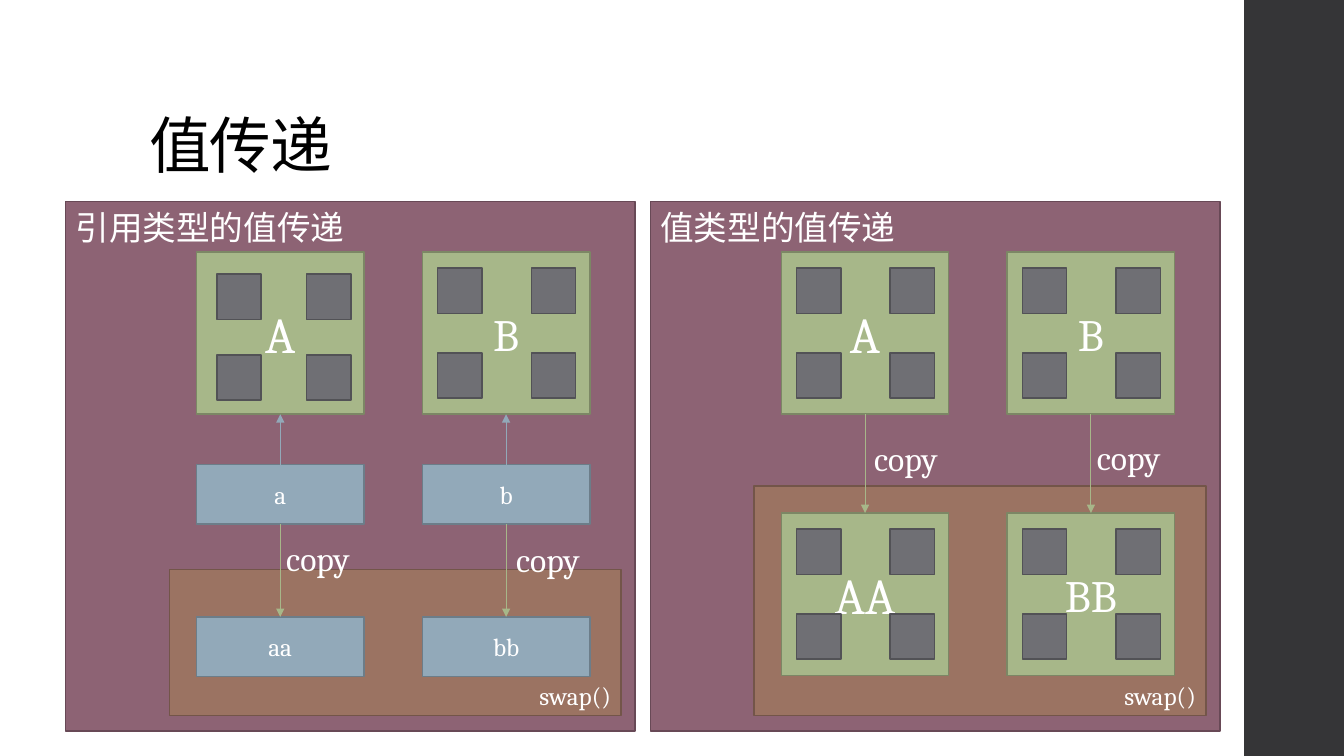
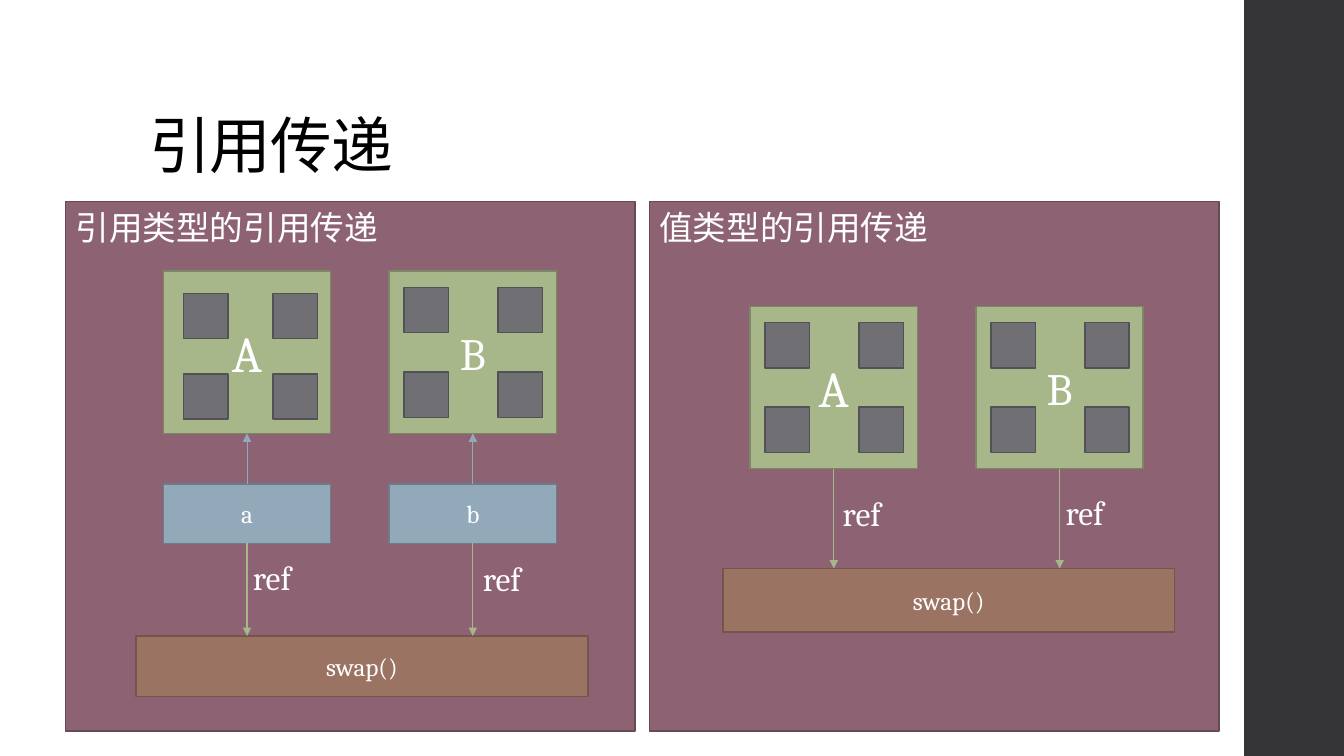
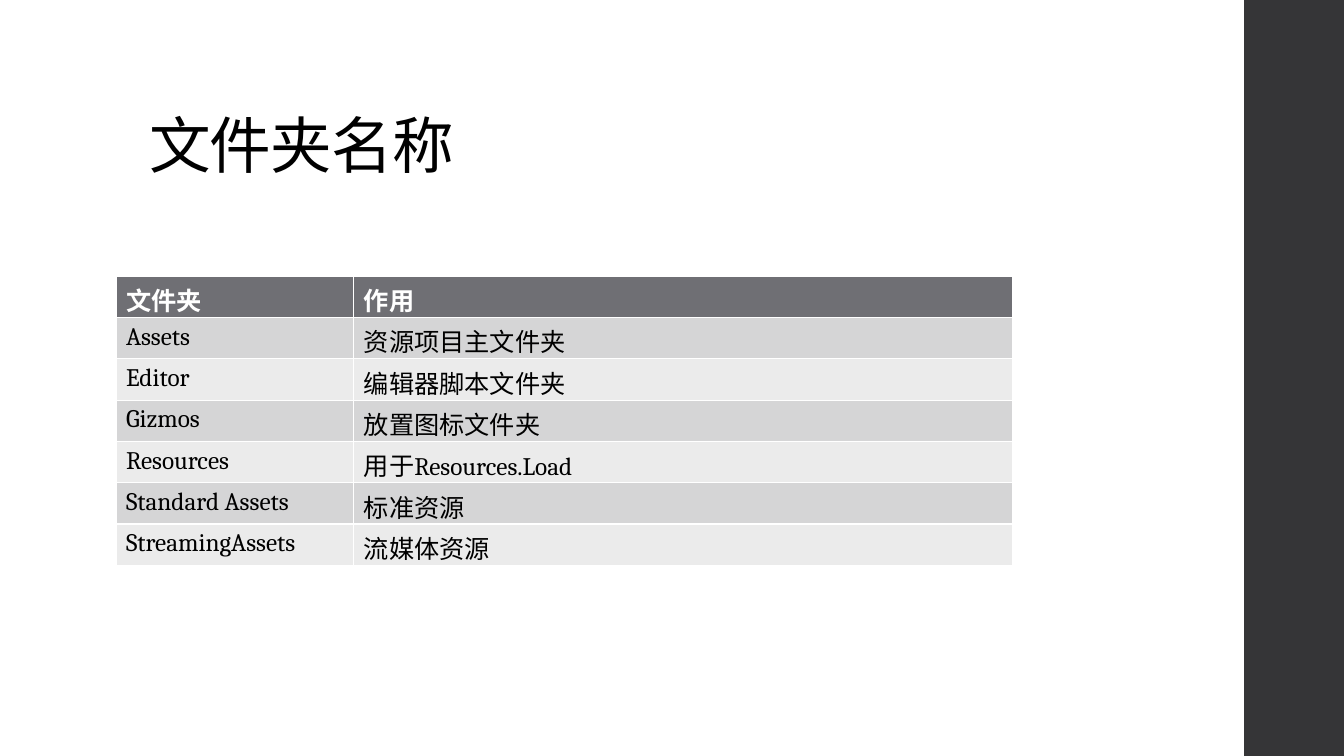
import pptx
import pptx.util
import pptx.dml.color
import pptx.enum.shapes
import pptx.enum.text
import pptx.oxml
import pptx.oxml.ns
from dataclasses import dataclass

Inches = pptx.util.Inches
Pt = pptx.util.Pt
RGB = pptx.dml.color.RGBColor.from_string
ALIGN = pptx.enum.text.PP_ALIGN
ANCHOR = pptx.enum.text.MSO_ANCHOR


@dataclass(frozen=True)
class Theme:
    font: str = "Cambria"
    band: tuple = ("353537", "353537")
    panel: tuple = ("8D6374", "684956")
    block: tuple = ("A7B789", "7C8765")
    var: tuple = ("92A9B9", "6C7D89")
    swap: tuple = ("9B7362", "735549")
    core: tuple = ("6F6F74", "525256")
    rows: tuple = ("EBEBEB", "D5D5D6")
    light: str = "FFFFFF"
    dark: str = "000000"
    title: int = 44
    head: int = 24
    body: int = 18
    names: tuple = (36, 32)
    edge: float = 1.1
    thin: float = 0.75


theme = Theme()


def box(shapes, rect, tone=None, text="", size=theme.body, color=theme.light,
        align=ALIGN.CENTER, anchor=ANCHOR.MIDDLE):
    place = [Inches(v) for v in rect]
    if tone:
        shape = shapes.add_shape(pptx.enum.shapes.MSO_SHAPE.RECTANGLE, *place)
        shape.shadow.inherit = False
        shape.fill.solid()
        shape.fill.fore_color.rgb = RGB(tone[0])
        shape.line.color.rgb = RGB(tone[1])
        shape.line.width = Pt(theme.edge)
    else:
        shape = shapes.add_textbox(*place)
    if text:
        frame = shape.text_frame
        frame.word_wrap = True
        frame.vertical_anchor = anchor
        para = frame.paragraphs[0]
        para.alignment = align
        run = para.add_run()
        run.text = text
        run.font.name = theme.font
        run.font.size = Pt(size)
        run.font.color.rgb = RGB(color)
    return shape


def arrow(shapes, x, start, end, color, width=theme.thin):
    line = shapes.add_connector(pptx.enum.shapes.MSO_CONNECTOR.STRAIGHT,
                                Inches(x), Inches(start), Inches(x), Inches(end))
    line.line.color.rgb = RGB(color)
    line.line.width = Pt(width)
    space = pptx.oxml.ns.nsdecls("a")
    line.line._get_or_add_ln().append(
        pptx.oxml.parse_xml(f'<a:tailEnd {space} type="triangle"/>'))
    line._element.spPr.append(pptx.oxml.parse_xml(f"<a:effectLst {space}/>"))


deck = pptx.Presentation()
deck.slide_width = Inches(13.33)
deck.slide_height = Inches(7.5)

slides = []
for title in ("值传递", "引用传递", "文件夹名称"):
    slide = deck.slides.add_slide(deck.slide_layouts[6])
    box(slide.shapes, (12.35, 0, 0.98, 7.5), theme.band)
    head = box(slide.shapes, (1.38, 0.4, 10.6, 1.45), None, title, theme.title,
               theme.dark, ALIGN.LEFT, ANCHOR.BOTTOM)
    para = head.text_frame.paragraphs[0]
    para.line_spacing = 0.9
    para.runs[0].font._element.set("spc", "-50")
    slides.append(slide)

wide, high, low = 1.66, 1.61, 0.59
pitch = 2.24
core_w, core_h = 0.44, 0.45

panels = [
    (0, 0.65, "引用类型的值传递", 1.95, 2.5, True, 5.65, 1.45, 6.12, "copy"),
    (0, 6.45, "值类型的值传递", 7.75, 2.5, False, 4.82, 2.28, 5.09, "copy"),
    (1, 0.65, "引用类型的引用传递", 1.62, 2.69, True, 6.31, 0.6, None, "ref"),
    (1, 6.44, "值类型的引用传递", 7.44, 3.04, False, 5.64, 0.63, None, "ref"),
]

for page, left, head, col, top, is_ref, swap_y, swap_h, copy_y, word in panels:
    shapes = slides[page].shapes.add_group_shape().shapes
    box(shapes, (left, 2, 5.65, 5.25), theme.panel, head, theme.head,
        align=ALIGN.LEFT, anchor=ANCHOR.TOP)
    corner = (ALIGN.RIGHT, ANCHOR.BOTTOM) if copy_y else (ALIGN.CENTER, ANCHOR.MIDDLE)
    box(shapes, (col - 0.27, swap_y, 4.48, swap_h), theme.swap, "swap()",
        align=corner[0], anchor=corner[1])

    nudges = ((-0.04, 0.09), (0, 0.1)) if is_ref else ((-0.01, 0.19), (-0.04, 0.18))
    for i, name in enumerate("AB"):
        x = col + i * pitch
        mid = x + wide / 2
        size = theme.names[i]
        tops = [top]
        box(shapes, (x, top, wide, high), theme.block, name, size)
        start = top + high
        if is_ref:
            var_y = top + 2.11
            box(shapes, (x, var_y, wide, low), theme.var, name.lower())
            arrow(shapes, mid, var_y, start, theme.var[0])
            start = var_y + low
        if copy_y and is_ref:
            box(shapes, (x, copy_y, wide, low), theme.var, name.lower() * 2)
        elif copy_y:
            box(shapes, (x, copy_y, wide, high), theme.block, name * 2, size)
            tops.append(copy_y)
        arrow(shapes, mid, start, copy_y or swap_y, theme.block[0],
              theme.edge if is_ref and i == 0 else theme.thin)

        inset_x, inset_y, step_x, step_y = (
            (0.2, 0.22, 0.89, 0.8) if is_ref and i == 0 else (0.15, 0.16, 0.93, 0.84))
        for y in tops:
            for row in range(2):
                for side in range(2):
                    box(shapes, (x + inset_x + side * step_x,
                                 y + inset_y + row * step_y, core_w, core_h), theme.core)

        dx, dy = nudges[i]
        box(shapes, (mid + dx, start + dy, 1.02, 0.5), None, word, theme.head,
            align=ALIGN.LEFT, anchor=ANCHOR.TOP)

folders = [
    ("文件夹", "作用"),
    ("Assets", "资源项目主文件夹"),
    ("Editor", "编辑器脚本文件夹"),
    ("Gizmos", "放置图标文件夹"),
    ("Resources", "用于Resources.Load"),
    ("Standard Assets", "标准资源"),
    ("StreamingAssets", "流媒体资源"),
]
table = slides[2].shapes.add_table(len(folders), 2, Inches(1.15), Inches(2.74),
                                   Inches(8.89), Inches(2.84)).table
for col, width in zip(table.columns, (2.36, 6.53)):
    col.width = Inches(width)
for r, texts in enumerate(folders):
    table.rows[r].height = Inches(0.41)
    for c, text in enumerate(texts):
        cell = table.cell(r, c)
        cell.fill.solid()
        cell.fill.fore_color.rgb = RGB(theme.rows[r % 2] if r else theme.core[0])
        run = cell.text_frame.paragraphs[0].add_run()
        run.text = text
        run.font.name = theme.font
        run.font.size = Pt(theme.body)
        run.font.bold = r == 0
        run.font.color.rgb = RGB(theme.dark if r else theme.light)

deck.save("out.pptx")
